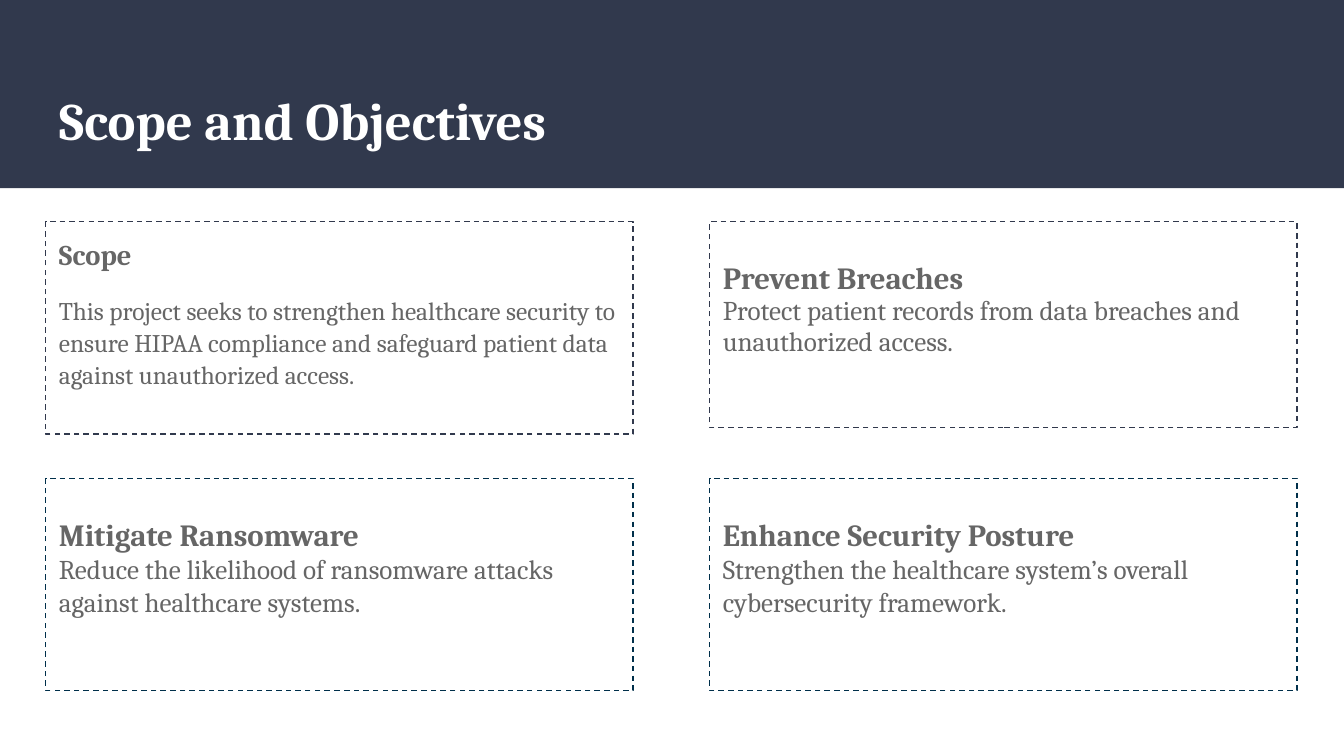
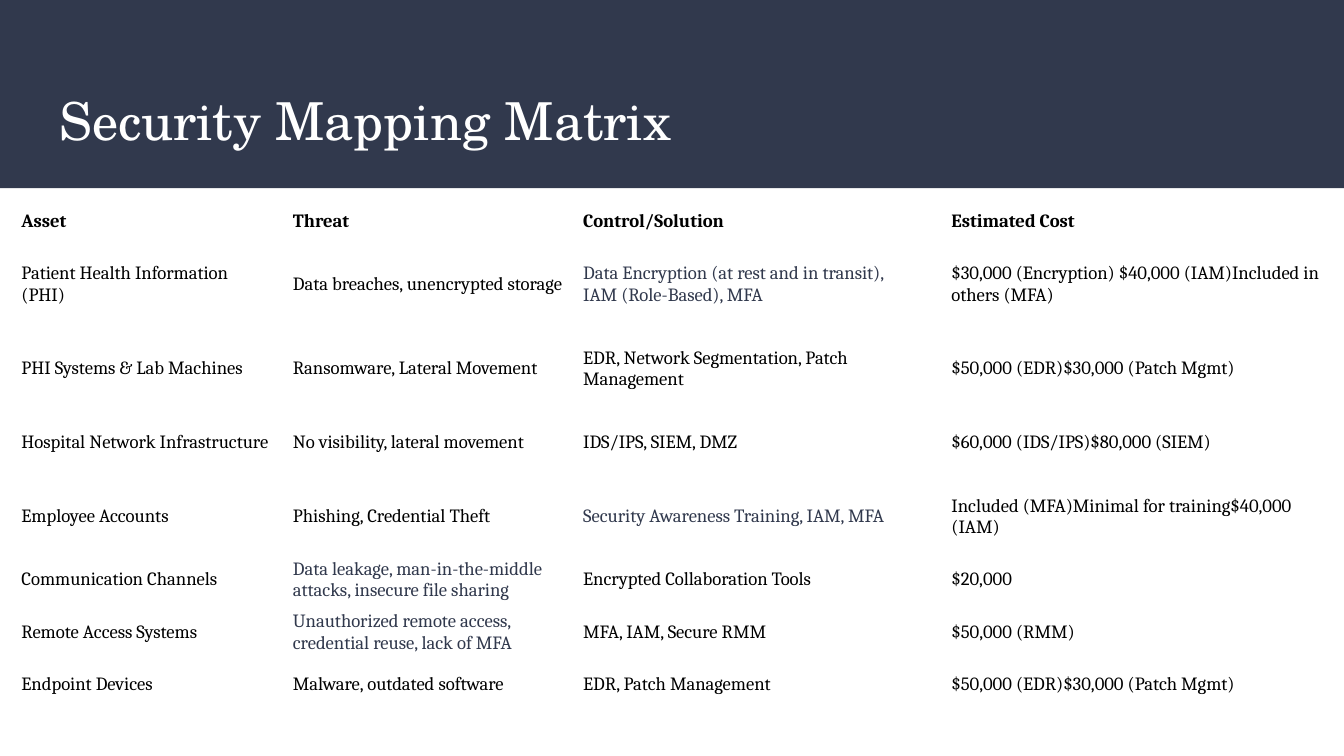
import pptx
import pptx.dml.color
import pptx.enum.dml
import pptx.enum.shapes
import pptx.enum.text
import pptx.util
from pptx.util import Inches

NAVY, TEAL, GREY, WHITE, BLACK = "31394D", "002F4A", "666666", "FFFFFF", "000000"
BODY_FONT = "Cambria"
MIDDLE = pptx.enum.text.MSO_ANCHOR.MIDDLE
LEFT = pptx.enum.text.PP_ALIGN.LEFT
RECTANGLE = pptx.enum.shapes.MSO_SHAPE.RECTANGLE


def set_font(font, name, size, color, bold=False):
    font.name = name
    font.size = pptx.util.Pt(size)
    font.bold = bold
    font.color.rgb = pptx.dml.color.RGBColor.from_string(color)


def add_page(text, font_name, size, bold):
    """Add a slide with the navy band and its white title."""
    page = deck.slides.add_slide(deck.slide_layouts[5])
    title = page.shapes.title
    title.left, title.top = Inches(0.34), Inches(0.55)
    title.width, title.height = Inches(9.32), Inches(0.68)
    frame = title.text_frame
    frame.text = text
    frame.auto_size = pptx.enum.text.MSO_AUTO_SIZE.NONE
    frame.vertical_anchor = MIDDLE
    frame.margin_left = frame.margin_right = Inches(0.1)
    frame.margin_top = frame.margin_bottom = Inches(0.1)
    frame.paragraphs[0].alignment = LEFT
    set_font(frame.paragraphs[0].font, font_name, size, WHITE, bold)

    band = page.shapes.add_shape(RECTANGLE, 0, 0, deck.slide_width, Inches(1.4))
    band.shadow.inherit = False
    band.fill.solid()
    band.fill.fore_color.rgb = pptx.dml.color.RGBColor.from_string(NAVY)
    band.line.fill.background()
    title._element.addprevious(band._element)  # behind the title
    return page


deck = pptx.Presentation()
deck.slide_width, deck.slide_height = Inches(10), Inches(5.625)

# Slide 1: scope and three objectives in a two by two grid
page = add_page("Scope and Objectives", BODY_FONT, 28.2, True)

# heading, text, height, line colour, heading size, text size, line spacings
cards = [
    ("Scope",
     "This project seeks to strengthen healthcare security to ensure HIPAA "
     "compliance and safeguard patient data against unauthorized access.",
     1.58, NAVY, 15.3, 13.6, 1.05, 1.05),
    ("Prevent Breaches",
     "Protect patient records from data breaches and unauthorized access.",
     1.53, NAVY, 16.5, 14.5, 1.65, 0.95),
    ("Mitigate Ransomware",
     "Reduce the likelihood of ransomware attacks against healthcare systems.",
     1.58, TEAL, 16.5, 14.5, 1.65, 1.0),
    ("Enhance Security Posture",
     "Strengthen the healthcare system’s overall cybersecurity framework.",
     1.58, TEAL, 16.5, 14.5, 1.65, 1.0),
]
for index, card in enumerate(cards):
    heading, text, height, color, heading_size, text_size, heading_spacing, text_spacing = card
    row, column = divmod(index, 2)
    box = page.shapes.add_shape(
        RECTANGLE, Inches(0.34 + 4.94 * column), Inches(1.65 + 1.91 * row),
        Inches(4.37), Inches(height))
    box.shadow.inherit = False
    box.fill.background()
    box.line.color.rgb = pptx.dml.color.RGBColor.from_string(color)
    box.line.width = pptx.util.Pt(0.75)
    box.line.dash_style = pptx.enum.dml.MSO_LINE.DASH

    frame = box.text_frame
    frame.word_wrap = True
    frame.vertical_anchor = pptx.enum.text.MSO_ANCHOR.TOP
    frame.margin_left = frame.margin_right = Inches(0.1)
    frame.margin_top = frame.margin_bottom = Inches(0.1)
    frame.text = f"{heading}\n{text}"
    head_para, text_para = frame.paragraphs
    head_para.alignment = text_para.alignment = LEFT
    head_para.line_spacing, text_para.line_spacing = heading_spacing, text_spacing
    set_font(head_para.font, BODY_FONT, heading_size, GREY, True)
    set_font(text_para.font, BODY_FONT, text_size, GREY)
    if heading == "Scope":
        text_para.space_before = text_para.space_after = pptx.util.Pt(12)

# Slide 2: security matrix
page = add_page("Security Mapping Matrix", "TeX Gyre Schola", 28, False)

matrix = [
    ("Asset", "Threat", "Control/Solution", "Estimated Cost"),
    ("Patient Health Information (PHI)", "Data breaches, unencrypted storage",
     "Data Encryption (at rest and in transit),\nIAM (Role-Based), MFA",
     "$30,000 (Encryption) $40,000 (IAM)Included in others (MFA)"),
    ("PHI Systems & Lab Machines", "Ransomware, Lateral Movement",
     "EDR, Network Segmentation, Patch Management",
     "$50,000 (EDR)$30,000 (Patch Mgmt)"),
    ("Hospital Network Infrastructure", "No visibility, lateral movement",
     "IDS/IPS, SIEM, DMZ", "$60,000 (IDS/IPS)$80,000 (SIEM)"),
    ("Employee Accounts", "Phishing, Credential Theft",
     "Security Awareness Training, IAM, MFA",
     "Included (MFA)Minimal for training$40,000 (IAM)"),
    ("Communication Channels",
     "Data leakage, man-in-the-middle attacks, insecure file sharing",
     "Encrypted Collaboration Tools", "$20,000"),
    ("Remote Access Systems",
     "Unauthorized remote access, credential reuse, lack of MFA",
     "MFA, IAM, Secure RMM", "$50,000 (RMM)"),
    ("Endpoint Devices", "Malware, outdated software",
     "EDR, Patch Management", "$50,000 (EDR)$30,000 (Patch Mgmt)"),
]
navy_cells = {(1, 2), (4, 2), (5, 1), (6, 1)}
column_widths = [2.02, 2.16, 2.74, 2.93]
row_heights = [0.23, 0.71] + [0.55] * 3 + [0.39] * 3

table = page.shapes.add_table(
    len(matrix), len(column_widths), Inches(0.09), Inches(1.53),
    Inches(sum(column_widths)), Inches(sum(row_heights))).table
table.first_row = table.horz_banding = False
for column, width in zip(table.columns, column_widths):
    column.width = Inches(width)
for row, height in zip(table.rows, row_heights):
    row.height = Inches(height)

for row_index, texts in enumerate(matrix):
    for column_index, text in enumerate(texts):
        cell = table.cell(row_index, column_index)
        cell.fill.background()
        cell.vertical_anchor = MIDDLE
        cell.margin_left = cell.margin_right = Inches(0.07)
        cell.margin_top = cell.margin_bottom = Inches(0.03)
        cell.text = text
        color = NAVY if (row_index, column_index) in navy_cells else BLACK
        for para in cell.text_frame.paragraphs:
            set_font(para.font, BODY_FONT, 10, color, row_index == 0)

deck.save("out.pptx")
